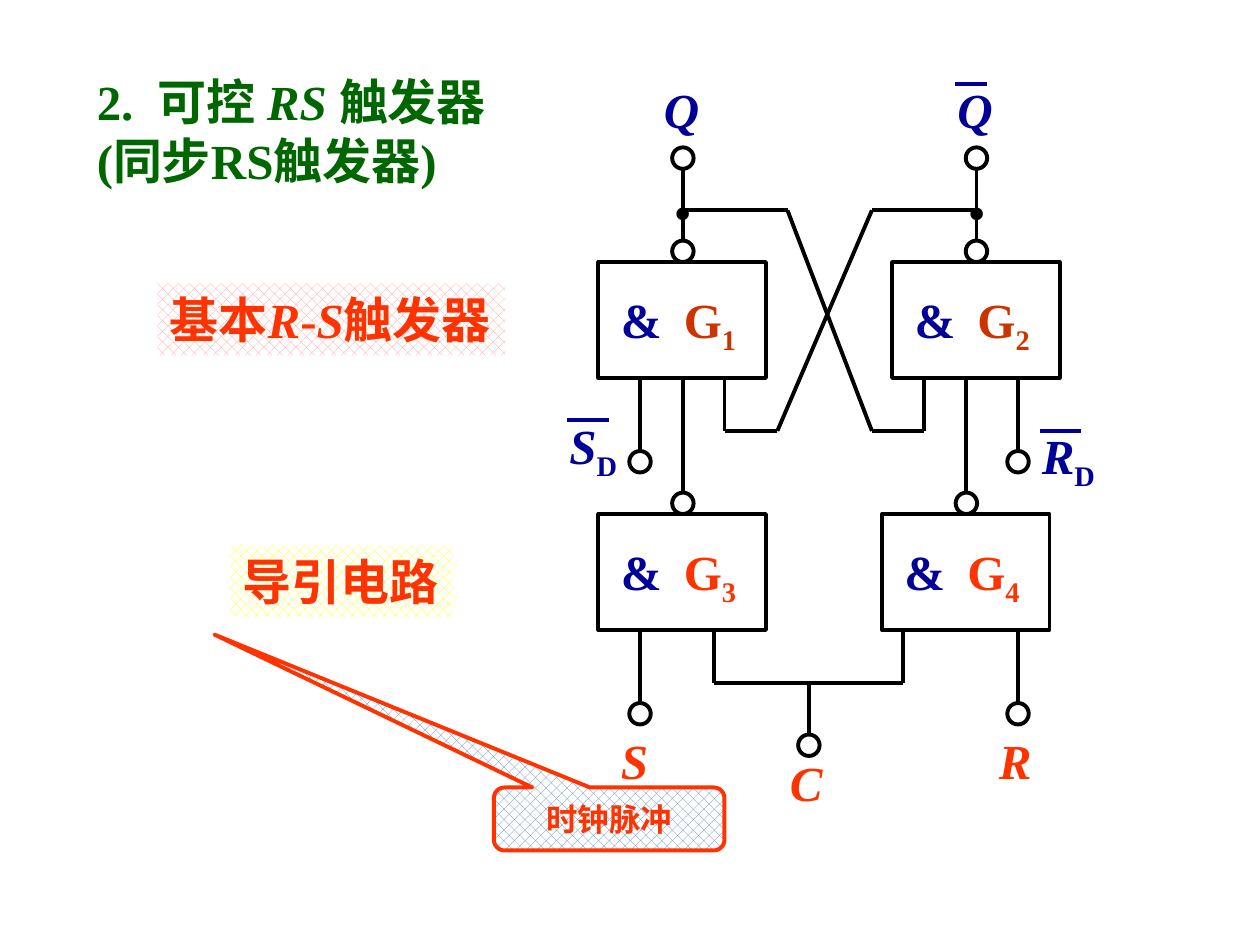
from dataclasses import dataclass

from lxml import etree
from pptx import Presentation
from pptx import util as u
from pptx.dml.color import RGBColor
from pptx.enum import dml, shapes, text
from pptx.oxml.ns import qn

INK, BLUE, RED, RUST, GREEN = "000000", "000099", "FF3300", "CC3300", "006600"
FONT = "Times New Roman"
PEN = 2.25
DIAM = 0.17

deck = Presentation()
deck.slide_width, deck.slide_height = u.Inches(10), u.Inches(7.5)
slide = deck.slides.add_slide(deck.slide_layouts[6])
tree = slide.shapes


@dataclass
class Gate:
    """A NAND gate: number, top left corner, label colour."""
    num: str
    left: float
    top: float
    tint: str


@dataclass
class Label:
    """A signal name with an optional subscript."""
    name: str
    sub: str
    left: float
    top: float
    wide: float
    tint: str


def color(code: str) -> RGBColor:
    """Turn a hex string into a colour."""
    return RGBColor.from_string(code)


def write(shape, *parts, tint: str = INK, size: float = 28, align=None, anchor=text.MSO_ANCHOR.TOP):
    """Fill a shape with bold runs; a part is a string or (string, style), i italic, s subscript."""
    frame = shape.text_frame
    frame.word_wrap = True
    frame.vertical_anchor = anchor
    para = frame.paragraphs[0]
    para.alignment = align or text.PP_ALIGN.LEFT
    for part in parts:
        words, style = (part, "") if isinstance(part, str) else part
        run = para.add_run()
        run.text = words
        font = run.font
        font.name, font.size, font.bold = FONT, u.Pt(size), True
        font.italic = "i" in style
        font.color.rgb = color(tint)
        if "s" in style:
            run._r.get_or_add_rPr().set("baseline", "-25000")


def note(left: float, top: float, wide: float, high: float, *parts, **form):
    """Add a text box."""
    box = tree.add_textbox(*map(u.Inches, (left, top, wide, high)))
    write(box, *parts, **form)


def draw(kind, left: float, top: float, wide: float, high: float, hatch: str = "", line: str = INK):
    """Add a preset shape, hatched or hollow, with or without an outline."""
    shape = tree.add_shape(kind, *map(u.Inches, (left, top, wide, high)))
    shape.shadow.inherit = False
    if hatch:
        shape.fill.patterned()
        shape.fill.pattern = dml.MSO_PATTERN.from_xml("pct40")
        shape.fill.fore_color.rgb = color(hatch)
        shape.fill.back_color.rgb = color("FFFFFF")
    else:
        shape.fill.background()
    if line:
        shape.line.color.rgb = color(line)
        shape.line.width = u.Pt(PEN)
    else:
        shape.line.fill.background()
    return shape


def ring(x: float, top: float):
    """Add a small circle centred on x."""
    draw(shapes.MSO_SHAPE.OVAL, x - DIAM / 2, top, DIAM, DIAM)


def wire(*points, tint: str = INK):
    """Join the points with straight lines."""
    for start, end in zip(points, points[1:]):
        line = tree.add_connector(shapes.MSO_CONNECTOR.STRAIGHT, *map(u.Inches, (*start, *end)))
        line.line.color.rgb = color(tint)
        line.line.width = u.Pt(PEN)
        etree.SubElement(line._element.spPr, qn("a:effectLst"))


def gate(item: Gate):
    """Draw a gate with its bubble and label."""
    left, top = item.left, item.top
    draw(shapes.MSO_SHAPE.RECTANGLE, left, top, 1.33, 0.92)
    ring(left + 0.67, top - DIAM)
    note(left + 0.08, top + 0.17, 0.58, 0.57, "&", tint=BLUE)
    note(left + 0.58, top + 0.17, 0.9, 0.57, "G", (item.num, "s"), tint=item.tint)


# Headings
note(0.67, 0.52, 3.33, 1.04, "2.  可控 ", ("RS ", "i"), "触发器(同步RS触发器)", tint=GREEN)
basic = draw(shapes.MSO_SHAPE.RECTANGLE, 1.25, 2.25, 2.76, 0.57, "FF9999", "")
write(basic, "基本", ("R", "i"), "-", ("S", "i"), "触发器", tint=RED)
guide = draw(shapes.MSO_SHAPE.RECTANGLE, 1.83, 4.33, 1.77, 0.57, "FFFF00", "")
write(guide, "导引电路", tint=RED)

# Gates
for item in (Gate("1", 4.75, 2.08, RUST), Gate("2", 7.08, 2.08, RUST),
             Gate("3", 4.75, 4.08, RED), Gate("4", 7, 4.08, RED)):
    gate(item)

# Outputs with their junction dots
for x in (5.42, 7.75):
    ring(x, 1.17)
    wire((x, 1.33), (x, 1.92))
    note(x - 0.17, 1.08, 0.36, 0.83, ".", size=44)

# Inputs, each ending in a terminal
for x, top, end in ((5.08, 3, 3.58), (8.08, 3, 3.58), (5.08, 5, 5.58),
                    (8.08, 5, 5.58), (6.42, 5.42, 5.83)):
    wire((x, top), (x, end))
    ring(x, end)

# Links between gates, cross feedback and clock
for x in (5.42, 7.67):
    wire((x, 3), (x, 3.92))
wire((5.42, 1.67), (6.25, 1.67), (6.92, 3.42), (7.33, 3.42), (7.33, 3))
wire((7.75, 1.67), (6.92, 1.67), (6.17, 3.42), (5.75, 3.42), (5.75, 3))
wire((5.67, 5), (5.67, 5.42), (7.17, 5.42), (7.17, 5))

# Signal names
for sign in (Label("Q", "", 5.17, 0.58, 0.49, BLUE), Label("Q", "", 7.5, 0.58, 0.49, BLUE),
             Label("S", "D", 4.42, 3.25, 0.61, BLUE), Label("R", "D", 8.17, 3.33, 0.83, BLUE),
             Label("S", "", 4.83, 5.75, 0.43, RED), Label("R", "", 7.83, 5.75, 0.5, RED),
             Label("C", "", 6.17, 5.92, 0.72, RED)):
    parts = [(sign.name, "i")] + ([(sign.sub, "s")] if sign.sub else [])
    note(sign.left, sign.top, sign.wide, 0.57, *parts, tint=sign.tint)

# Bars over the inverted signals
for x, y, wide in ((7.58, 0.67, 0.25), (4.5, 3.33, 0.33), (8.25, 3.42, 0.33)):
    wire((x, y), (x + wide, y), tint=BLUE)

# Clock callout
clock = draw(shapes.MSO_SHAPE.ROUNDED_RECTANGULAR_CALLOUT, 3.92, 6.25, 1.83, 0.5, "4F81BD", RED)
for k, value in enumerate((-1.712, -2.927, 0.167)):
    clock.adjustments[k] = value
write(clock, "时钟脉冲", tint=RED, size=18, align=text.PP_ALIGN.CENTER, anchor=text.MSO_ANCHOR.MIDDLE)

deck.save("out.pptx")
